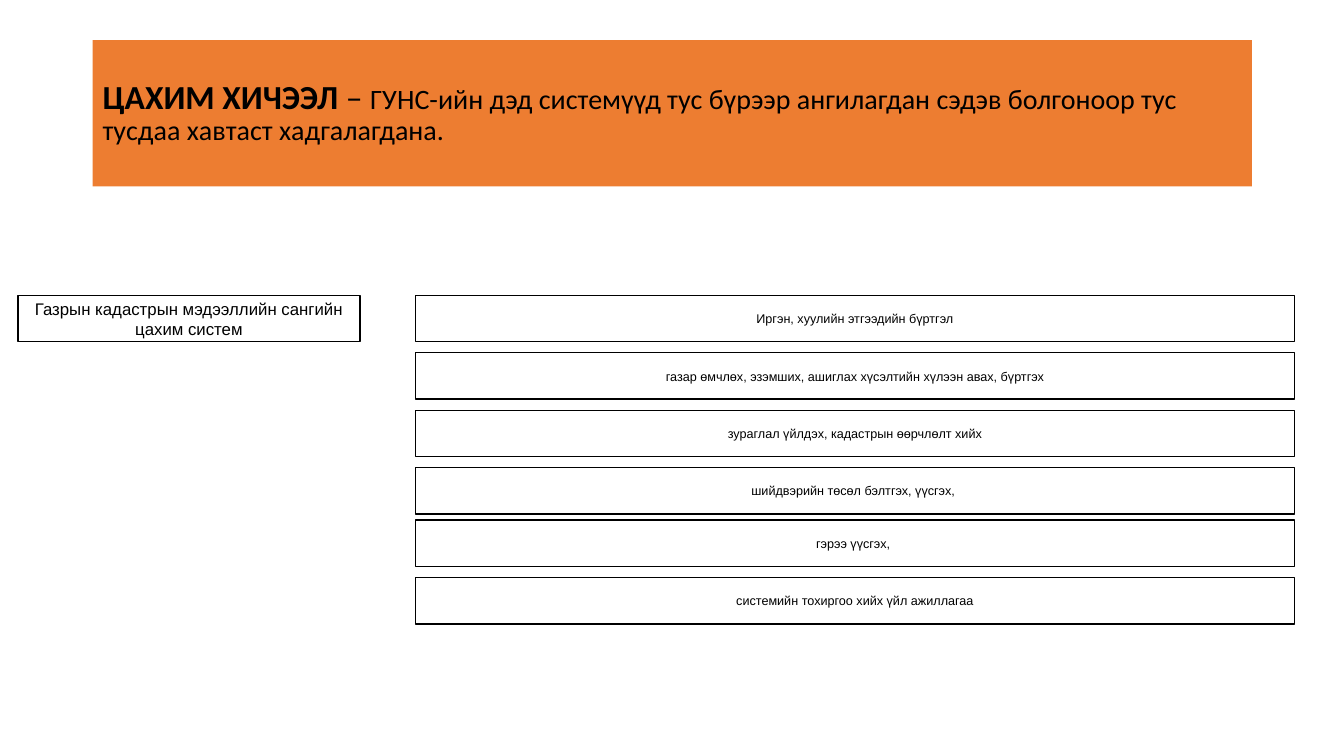
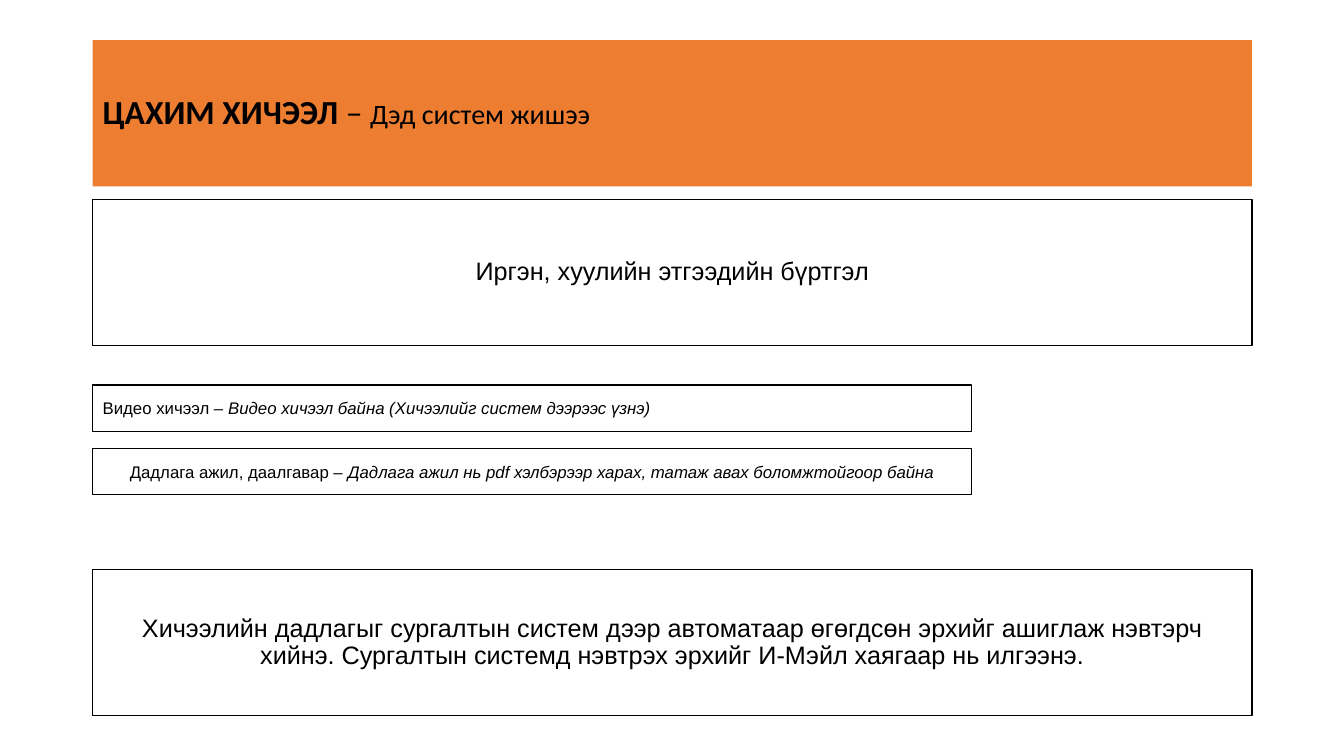
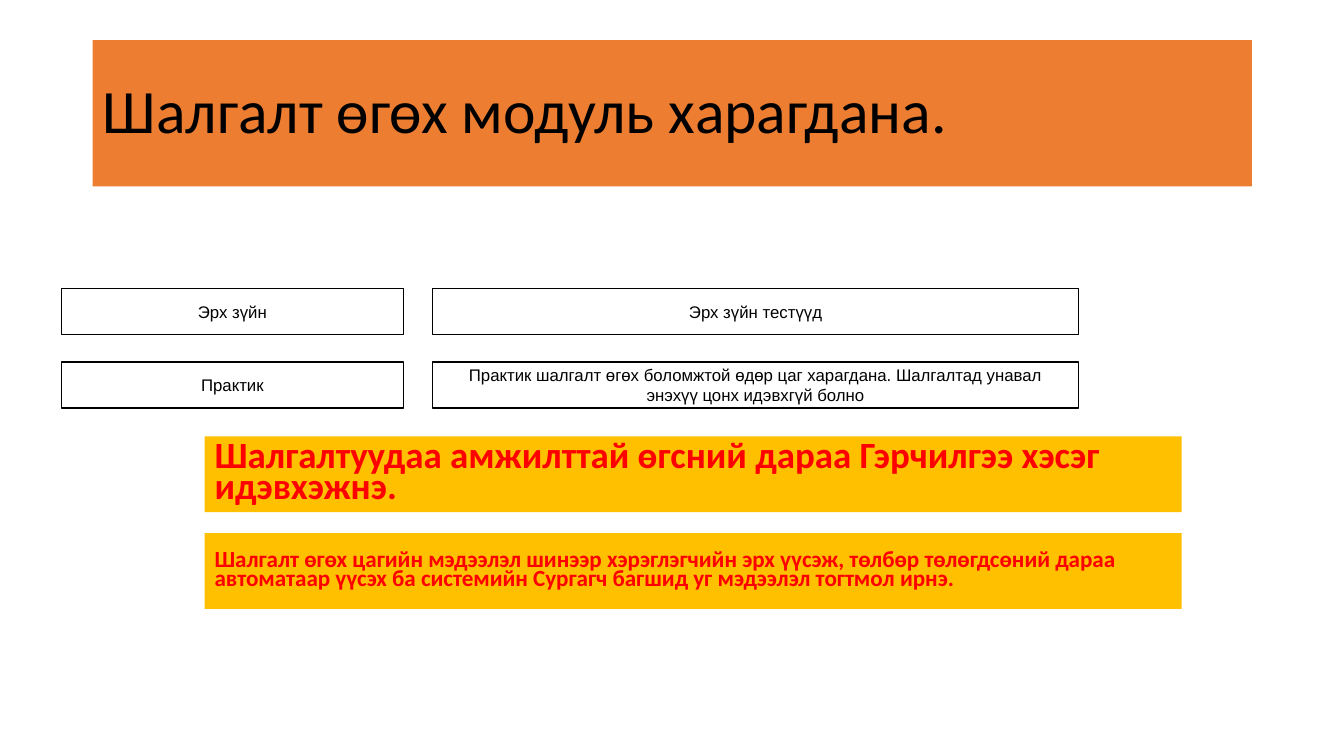
from dataclasses import dataclass

from pptx import Presentation
from pptx.dml.color import RGBColor
from pptx.enum.shapes import MSO_SHAPE
from pptx.enum.text import MSO_ANCHOR, PP_ALIGN
from pptx.util import Inches, Pt


@dataclass(frozen=True)
class Theme:
    orange: str = "ED7D31"
    amber: str = "FFC000"
    white: str = "FFFFFF"
    black: str = "000000"
    red: str = "FF0000"
    head: str = "Calibri"
    body: str = "Arial"
    title: float = 44
    lead: float = 24
    sub: float = 20
    large: float = 18
    normal: float = 12
    small: float = 9


T = Theme()
prs = Presentation()
prs.slide_width, prs.slide_height = Inches(13.33), Inches(7.5)

# Shared geometry, in percent of the slide's width and height
LEFT, FULL = 6.9, 86.25
BAND_TOP, BAND_H = 5.33, 19.33
ROW_H, LABEL_W, LIST_W = 6.13, 25.43, 65.4


def add_box(s, text, left, top, width, height=ROW_H, *, fill=T.white, line=T.black,
            font=T.body, size=T.normal, color=T.black, bold=False,
            align=PP_ALIGN.CENTER, spacing=None):
    """Box at percent positions; text is a string or (text, overrides) runs."""
    x, y = prs.slide_width / 100, prs.slide_height / 100
    sp = s.shapes.add_shape(MSO_SHAPE.RECTANGLE, round(left * x), round(top * y),
                            round(width * x), round(height * y))
    sp.shadow.inherit = False
    sp.fill.solid()
    sp.fill.fore_color.rgb = RGBColor.from_string(fill)
    if line:
        sp.line.color.rgb = RGBColor.from_string(line)
        sp.line.width = Pt(1)
    else:
        sp.line.fill.background()
    tf = sp.text_frame
    tf.word_wrap = True
    tf.vertical_anchor = MSO_ANCHOR.MIDDLE
    p = tf.paragraphs[0]
    p.alignment = align
    if spacing:
        p.line_spacing = spacing
    for words, own in [(text, {})] if isinstance(text, str) else text:
        r = p.add_run()
        r.text = words
        r.font.name = font
        r.font.size = Pt(own.get("size", size))
        r.font.bold = own.get("bold", bold)
        r.font.italic = own.get("italic", False)
        r.font.color.rgb = RGBColor.from_string(color)


def add_slide(title):
    """Blank slide with the orange title band."""
    s = prs.slides.add_slide(prs.slide_layouts[6])
    add_box(s, title, LEFT, BAND_TOP, FULL, BAND_H, fill=T.orange, line=None,
            font=T.head, size=T.title, align=PP_ALIGN.LEFT, spacing=0.9)
    return s


lesson = [("ЦАХИМ ХИЧЭЭЛ ", {"size": T.lead, "bold": True}), ("– ", {"size": T.lead})]

# Slide 1: the system and its subsystems, in two evenly spaced groups
s = add_slide(lesson + [("ГУНС-ийн дэд системүүд тус бүрээр ангилагдан сэдэв болгоноор "
                         "тус тусдаа хавтаст хадгалагдана.", {"size": T.sub})])
first_top, second_top, step = 39.07, 68.8, 7.6
add_box(s, "Газрын кадастрын мэдээллийн сангийн цахим систем", 1.35, first_top, LABEL_W)
groups = [
    (first_top, ["Иргэн, хуулийн этгээдийн бүртгэл",
                 "газар өмчлөх, эзэмших, ашиглах хүсэлтийн хүлээн авах, бүртгэх",
                 "зураглал үйлдэх, кадастрын өөрчлөлт хийх",
                 "шийдвэрийн төсөл бэлтгэх, үүсгэх, "]),
    (second_top, ["гэрээ үүсгэх, ", "системийн тохиргоо хийх үйл ажиллагаа"]),
]
for top, names in groups:
    for i, name in enumerate(names):
        add_box(s, name, 30.9, top + i * step, LIST_W, size=T.small)

# Slide 2: example subsystem
s = add_slide(lesson + [("Дэд систем жишээ", {"size": T.sub})])
for top, text in [
    (26.4, "Иргэн, хуулийн этгээдийн бүртгэл"),
    (75.33, "Хичээлийн дадлагыг сургалтын систем дээр автоматаар өгөгдсөн эрхийг "
            "ашиглаж нэвтэрч хийнэ. Сургалтын системд нэвтрэх эрхийг И-Мэйл хаягаар "
            "нь илгээнэ."),
]:
    add_box(s, text, LEFT, top, FULL, BAND_H, size=T.large, spacing=0.9)
for top, align, label, detail in [
    (50.93, PP_ALIGN.LEFT, "Видео хичээл – ",
     "Видео хичээл байна (Хичээлийг систем дээрээс үзнэ)"),
    (59.33, PP_ALIGN.CENTER, "Дадлага ажил, даалгавар – ",
     "Дадлага ажил нь pdf хэлбэрээр харах, татаж авах боломжтойгоор байна"),
]:
    add_box(s, [(label, {}), (detail, {"italic": True})], LEFT, top, LIST_W, align=align)

# Slide 3: exam module
s = add_slide("Шалгалт өгөх модуль харагдана.")
for top, label, detail in [
    (38.13, "Эрх зүйн", "Эрх зүйн тестүүд"),
    (47.87, "Практик", "Практик шалгалт өгөх боломжтой өдөр цаг харагдана. "
                       "Шалгалтад унавал энэхүү цонх идэвхгүй болно"),
]:
    add_box(s, label, 4.58, top, LABEL_W)
    add_box(s, detail, 32.18, top, 48.09)

# Amber notices
for top, size, text in [
    (57.73, 26.4, "Шалгалтуудаа амжилттай өгсний дараа Гэрчилгээ хэсэг идэвхэжнэ."),
    (70.53, 16.5, "Шалгалт өгөх цагийн мэдээлэл шинээр хэрэглэгчийн эрх үүсэж, төлбөр "
                  "төлөгдсөний дараа автоматаар үүсэх ба системийн Сургагч багшид уг "
                  "мэдээлэл тогтмол ирнэ."),
]:
    add_box(s, text, 15.23, top, 72.69, 10, fill=T.amber, line=None, font=T.head,
            size=size, color=T.red, bold=True, align=PP_ALIGN.LEFT, spacing=0.7)

prs.save("out.pptx")
